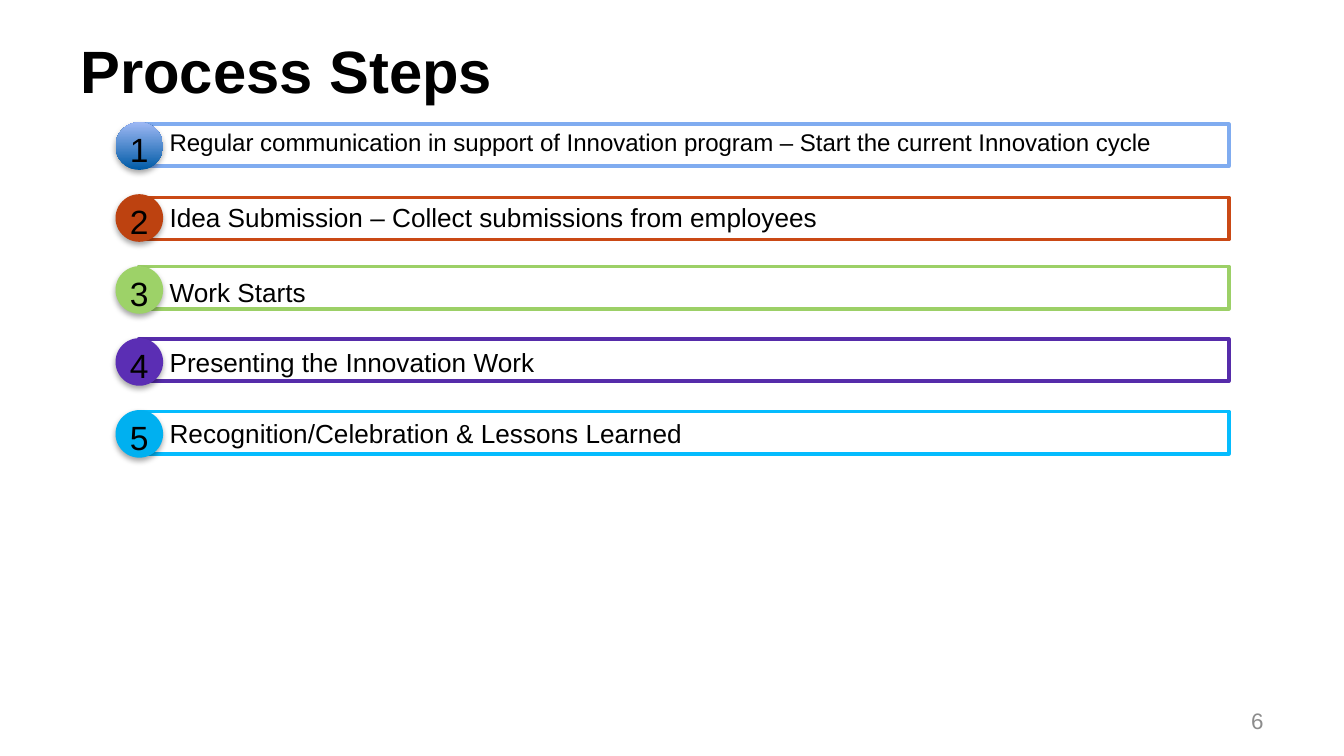
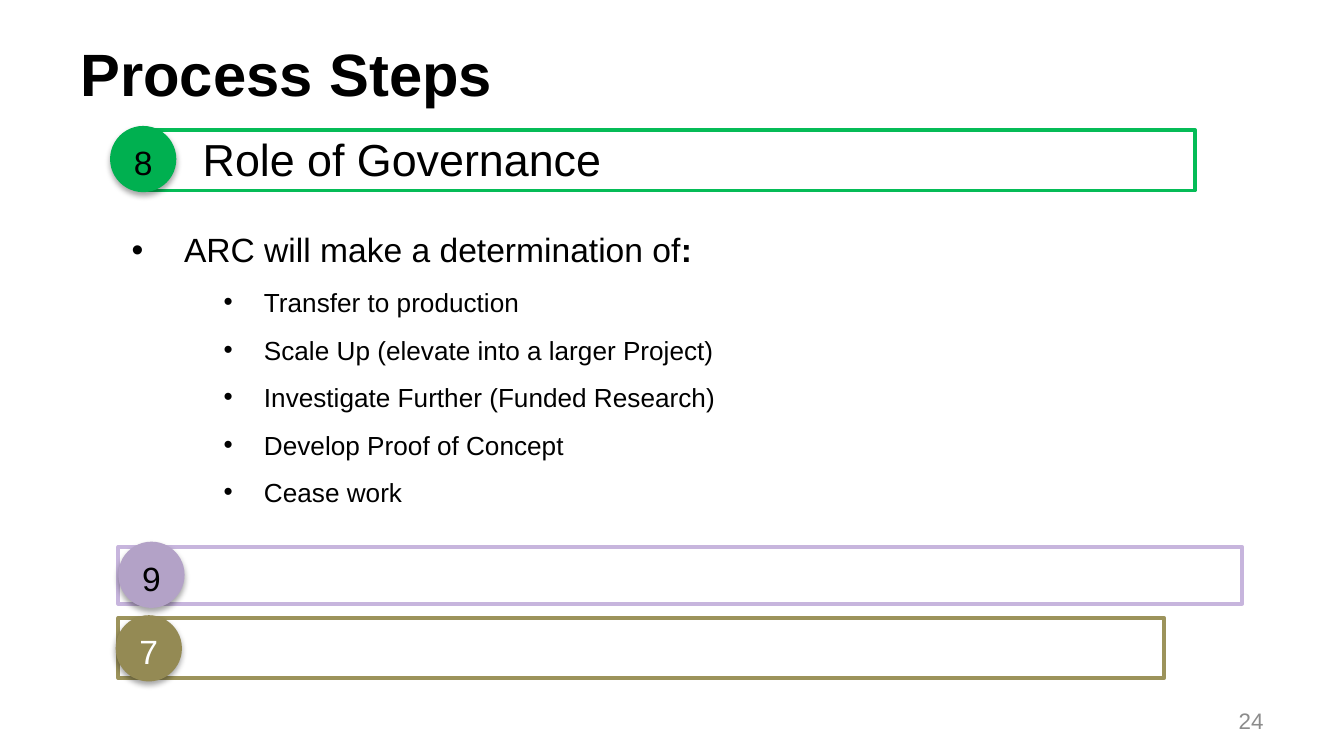
from lxml.etree import SubElement
from pptx import Presentation
from pptx.dml.color import RGBColor as RGB
from pptx.enum.shapes import MSO_SHAPE as SHAPE
from pptx.enum.text import MSO_ANCHOR as ANCHOR, PP_ALIGN as ALIGN
from pptx.oxml.ns import qn
from pptx.util import Pt

BLACK = RGB(0x00, 0x00, 0x00)
WHITE = RGB(0xFF, 0xFF, 0xFF)
GRAY = RGB(0x8C, 0x8C, 0x8C)
BLUE_LINE, BLUE_DARK, BLUE_LIGHT = RGB(0x80, 0xAC, 0xF0), RGB(0x00, 0x5B, 0xA6), RGB(0x9E, 0xB8, 0xF4)
RUST_LINE, RUST = RGB(0xCA, 0x49, 0x15), RGB(0xBD, 0x42, 0x10)
LIME_LINE, LIME = RGB(0x9C, 0xD0, 0x67), RGB(0x9D, 0xD2, 0x68)
VIOLET_LINE, VIOLET = RGB(0x56, 0x2C, 0xAA), RGB(0x5B, 0x2E, 0xB4)
CYAN_LINE, CYAN = RGB(0x05, 0xBC, 0xFE), RGB(0x00, 0xB0, 0xF0)
GREEN_LINE, GREEN = RGB(0x05, 0xBC, 0x57), RGB(0x00, 0xB0, 0x50)
LILAC_LINE, LILAC = RGB(0xC7, 0xB5, 0xDD), RGB(0xB3, 0xA2, 0xC7)
OLIVE_LINE, OLIVE = RGB(0x9C, 0x93, 0x5B), RGB(0x94, 0x8A, 0x54)


class Deck:
    """Shared style and the current slide."""
    font = "Arial"

    def __init__(self):
        self.prs = Presentation()
        self.prs.slide_width, self.prs.slide_height = Pt(720), Pt(405)

    def new_slide(self, title_top, number):
        self.s = self.prs.slides.add_slide(self.prs.slide_layouts[6])
        self.text(36, title_top, 648, 42.5, "Process Steps", 32, bold=True)
        tf = self.text(516.2, 375.1, 167.8, 21.6, number, 12, GRAY)
        tf.vertical_anchor = ANCHOR.MIDDLE
        tf.paragraphs[0].alignment = ALIGN.RIGHT

    def style(self, r, size, color=BLACK, bold=False):
        r.font.name, r.font.size, r.font.bold = self.font, Pt(size), bold
        r.font.color.rgb = color

    def text(self, x, y, w, h, text, size, color=BLACK, bold=False):
        tf = self.s.shapes.add_textbox(Pt(x), Pt(y), Pt(w), Pt(h)).text_frame
        tf.word_wrap = True
        tf.text = text
        if text:
            self.style(tf.paragraphs[0].runs[0], size, color, bold)
        return tf

    def bar(self, x, y, w, h, color):
        sp = self.s.shapes.add_shape(SHAPE.RECTANGLE, Pt(x), Pt(y), Pt(w), Pt(h))
        sp.fill.solid()
        sp.fill.fore_color.rgb = WHITE
        sp.line.color.rgb = color
        sp.line.width = Pt(2)
        sp.shadow.inherit = False

    def badge(self, x, y, size, number, fill, color=BLACK):
        """Numbered circle; a pair of colours gives a bottom-to-top gradient."""
        sp = self.s.shapes.add_shape(SHAPE.FLOWCHART_CONNECTOR, Pt(x), Pt(y), Pt(size), Pt(size))
        if isinstance(fill, RGB):
            sp.fill.solid()
            sp.fill.fore_color.rgb = fill
        else:
            sp.fill.gradient()
            sp.fill.gradient_angle = 90
            for stop, stop_color in zip(sp.fill.gradient_stops, fill):
                stop.color.rgb = stop_color
        sp.line.fill.background()
        self.soft_shadow(sp)
        tf = sp.text_frame
        tf.margin_left = tf.margin_right = tf.margin_top = tf.margin_bottom = 0
        tf.vertical_anchor = ANCHOR.MIDDLE
        tf.text = number
        p = tf.paragraphs[0]
        p.alignment, p.line_spacing, p.space_after = ALIGN.CENTER, 1.15, Pt(10)
        self.style(p.runs[0], 18, color)

    def soft_shadow(self, sp):
        sp.shadow.inherit = False
        effects = sp._element.spPr.find(qn("a:effectLst"))
        shadow = SubElement(effects, qn("a:outerShdw"), blurRad=str(Pt(3.1)),
                            dist=str(Pt(1.8)), dir="5400000", rotWithShape="0")
        clr = SubElement(shadow, qn("a:srgbClr"), val=str(BLACK))
        SubElement(clr, qn("a:alpha"), val="35000")

    def bullet(self, p, text, size, left, hanging, spacing, level=0, before=0):
        p.text, p.level = text, level
        p.line_spacing, p.space_before, p.space_after = spacing, Pt(before), Pt(6)
        pPr = p._p.get_or_add_pPr()
        pPr.set("marL", str(Pt(left)))
        pPr.set("indent", str(-Pt(hanging)))
        SubElement(pPr, qn("a:buFont"), typeface=self.font)
        SubElement(pPr, qn("a:buChar"), char="•")
        self.style(p.runs[0], size)


def steps_overview(deck):
    deck.new_slide(14.4, "6")
    # number badges on an even pitch; bar top, label top and label size per step
    first_top, pitch = 65.5, 38.55
    steps = [
        ("Regular communication in support of Innovation program – Start the current Innovation cycle",
         BLUE_LINE, (BLUE_DARK, BLUE_LIGHT), 66.5, 64.8, 12.9),
        ("Idea Submission – Collect submissions from employees", RUST_LINE, RUST, 105.8, 104.4, 14),
        ("Work Starts", LIME_LINE, LIME, 142.8, 144.7, 14),
        ("Presenting the Innovation Work", VIOLET_LINE, VIOLET, 181.6, 182.2, 14),
        ("Recognition/Celebration & Lessons Learned", CYAN_LINE, CYAN, 220.5, 220.3, 14),
    ]
    for i, (label, line, fill, bar_top, label_top, size) in enumerate(steps):
        deck.bar(74.3, bar_top, 584, 22.6, line)
        deck.badge(61.9, first_top + i * pitch, 25.5, str(i + 1), fill)
        deck.text(83.8, label_top, 563.8, 23, label, size)


def governance(deck):
    deck.new_slide(16.4, "24")
    # bars with their badges
    rows = [
        ("9", (63.4, 293, 602, 30.5), LILAC_LINE, (63.4, 290.2), LILAC, BLACK),
        ("7", (63.4, 331, 560.2, 32.4), OLIVE_LINE, (62, 329.6), OLIVE, WHITE),
        ("8", (80, 69.7, 560.2, 32.4), GREEN_LINE, (59, 67.5), GREEN, BLACK),
    ]
    for number, box, line, (x, y), fill, color in rows:
        deck.bar(*box, line)
        deck.badge(x, y, 35.5, number, fill, color)
    deck.text(101.5, 67, 308, 33.8, "Role of Governance", 24)

    # possible outcomes
    tf = deck.text(63.4, 121.7, 560.2, 234.7, "", 18)
    p = tf.paragraphs[0]
    deck.bullet(p, "ARC will make a determination of", 18, 28.1, 28.1, 0.9)
    r = p.add_run()
    r.text = ":"
    deck.style(r, 18, bold=True)
    for outcome in ("Transfer to production", "Scale Up (elevate into a larger Project)",
                    "Investigate Further (Funded Research)", "Develop Proof of Concept",
                    "Cease work"):
        deck.bullet(tf.add_paragraph(), outcome, 14, 70.9, 21.6, 0.8, level=1, before=6)


def main():
    deck = Deck()
    steps_overview(deck)
    governance(deck)
    deck.prs.save("out.pptx")


if __name__ == "__main__":
    main()
